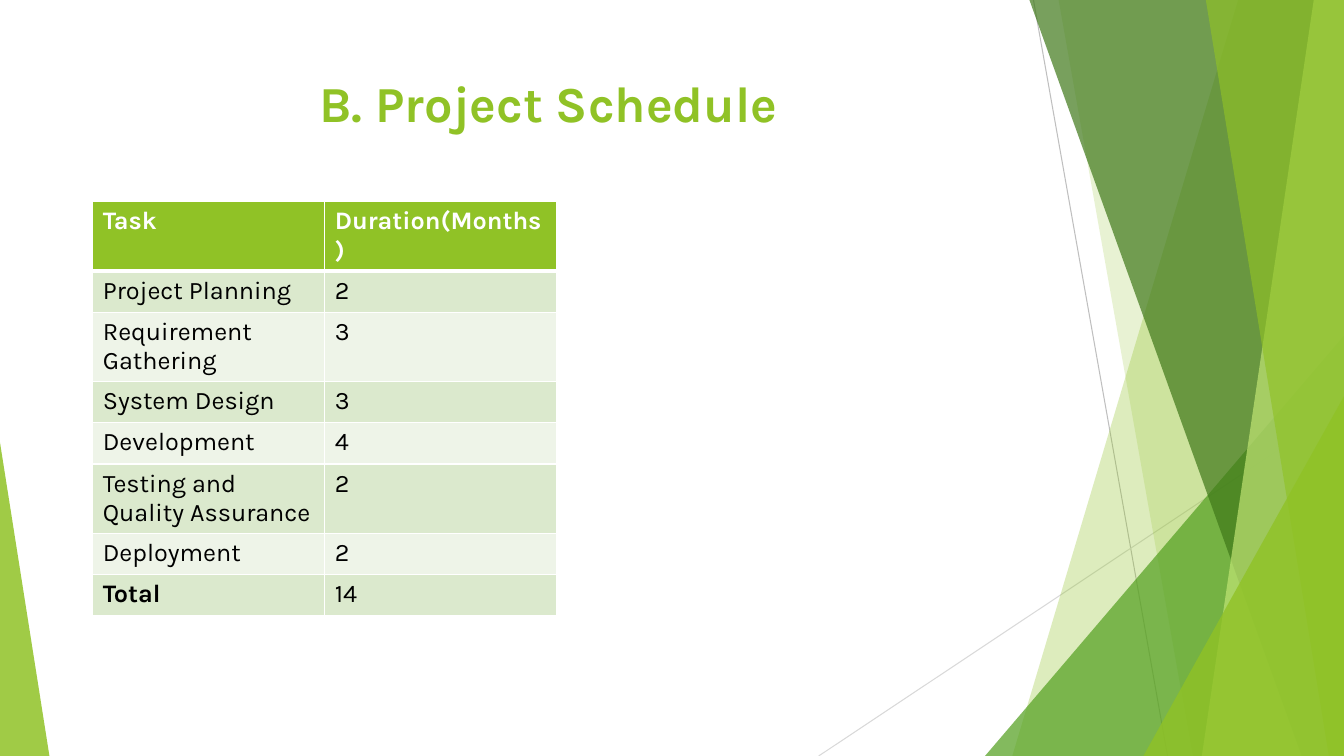
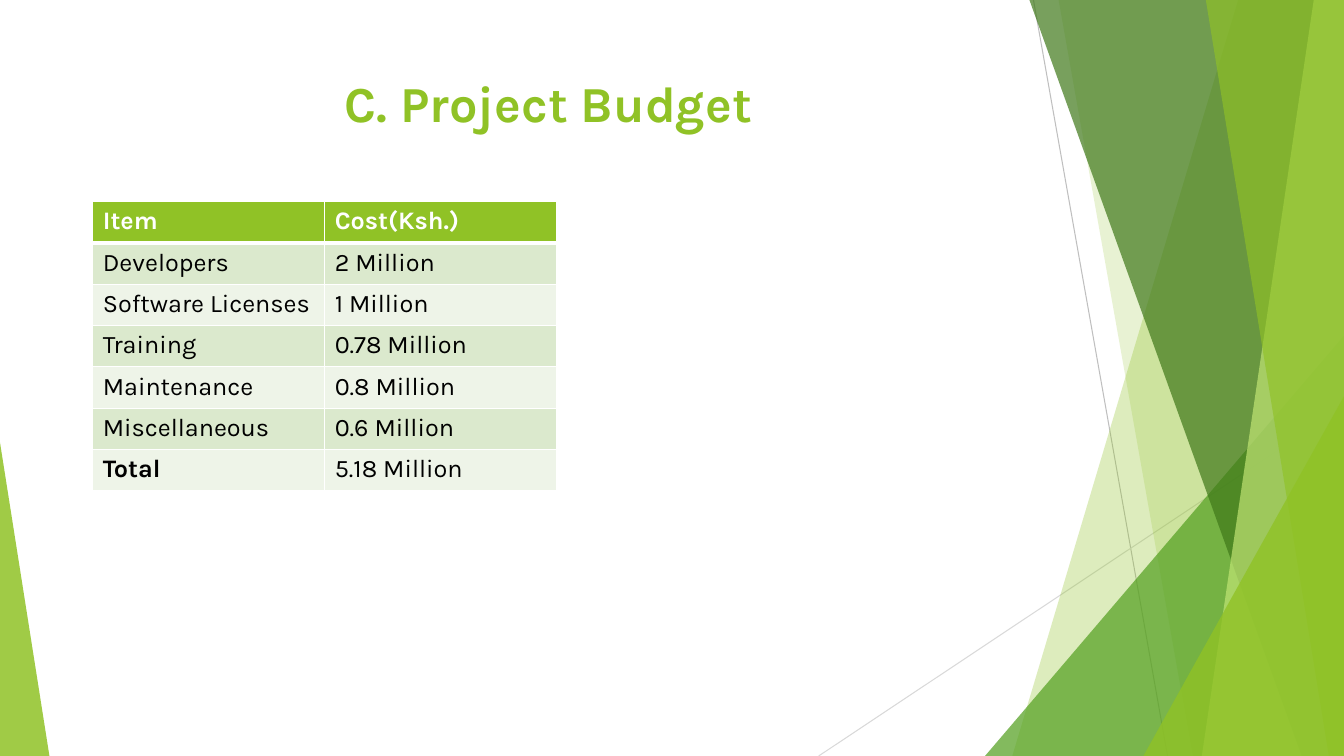
import pptx
import pptx.dml.color
import pptx.enum.shapes
import pptx.enum.text
import pptx.oxml
import pptx.oxml.ns
import pptx.util

Inches, Pt = pptx.util.Inches, pptx.util.Pt
WIDE, HIGH = 13.33, 7.5
LIME, WHITE, BLACK = "90C226", "FFFFFF", "000000"
BANDS = ["DBE9CD", "EEF4E8"]
FONT = "Karla"


def paint(fill, color, alpha=100):
    fill.solid()
    fill.fore_color.rgb = pptx.dml.color.RGBColor.from_string(color)
    if alpha < 100:
        tone = fill.fore_color._xFill[0]
        node = pptx.oxml.parse_xml(
            f'<a:alpha {pptx.oxml.ns.nsdecls("a")} val="{alpha * 1000}"/>')
        tone.append(node)


def style(para, size, color, bold):
    for run in para.runs:
        run.font.name = FONT
        run.font.size = Pt(size)
        run.font.bold = bold
        paint(run.font.fill, color)


pages = [
    ("B. Project Schedule", [
        ("Task", "Duration(Months)"),
        ("Project Planning", "2"),
        ("Requirement Gathering", "3"),
        ("System Design", "3"),
        ("Development", "4"),
        ("Testing and Quality Assurance", "2"),
        ("Deployment", "2"),
        ("Total", "14"),
    ]),
    ("C. Project Budget", [
        ("Item", "Cost(Ksh.)"),
        ("Developers", "2 Million"),
        ("Software Licenses", "1 Million"),
        ("Training", "0.78 Million"),
        ("Maintenance", "0.8 Million"),
        ("Miscellaneous", "0.6 Million"),
        ("Total", "5.18 Million"),
    ]),
]

# Thin lines: start, end, colour
lines = [
    ((10.25, 0), (11.58, HIGH), "BFBFBF"),
    ((WIDE, 4.03), (8.12, HIGH), "D9D9D9"),
]
# Facets, back to front. A band has its left edge at top and bottom;
# a wedge has left, top, width and apex side.
facets = [
    ("band", (12.28, 10.04), LIME, 30),
    ("band", (10.5, 11.83), LIME, 20),
    ("wedge", (9.77, 3.33, 3.56, 1), "54A021", 72),
    ("band", (10.21, 12.91), "3F7819", 70),
    ("band", (13.03, 11.92), "C0E474", 70),
    ("band", (11.96, 13.18), LIME, 65),
    ("wedge", (11.34, 3.93, 1.99, 1), LIME, 80),
    ("wedge", (0, 4.39, 0.49, 0), LIME, 85),
]

deck = pptx.Presentation()
deck.slide_width, deck.slide_height = Inches(WIDE), Inches(HIGH)
layout = deck.slide_layouts[5]
slides = [deck.slides.add_slide(layout) for page in pages]

# Shared decoration, drawn once and then moved to the layout
shapes = slides[0].shapes
decor = []
for start, end, color in lines:
    line = shapes.add_connector(
        pptx.enum.shapes.MSO_CONNECTOR.STRAIGHT,
        *[Inches(v) for v in start + end])
    paint(line.line.fill, color)
    line.line.width = Pt(0.75)
    line.element.spPr.append(pptx.oxml.parse_xml(
        f'<a:effectLst {pptx.oxml.ns.nsdecls("a")}/>'))
    decor.append(line)

for kind, place, color, alpha in facets:
    if kind == "band":
        top, base = place
        pen = shapes.build_freeform(Inches(top), 0)
        pen.add_line_segments([(Inches(x), Inches(y)) for x, y in
                               [(WIDE, 0), (WIDE, HIGH), (base, HIGH)]])
        facet = pen.convert_to_shape()
    else:
        left, top, width, apex = place
        facet = shapes.add_shape(
            pptx.enum.shapes.MSO_SHAPE.ISOSCELES_TRIANGLE,
            Inches(left), Inches(top), Inches(width), Inches(HIGH - top))
        facet.adjustments[0] = apex
    paint(facet.fill, color, alpha)
    facet.line.fill.background()
    facet.shadow.inherit = False
    decor.append(facet)

for index, shape in enumerate(decor):
    layout.element.cSld.spTree.insert(2 + index, shape.element)

for slide, (name, rows) in zip(slides, pages):
    # Title
    title = slide.shapes.title
    title.left, title.top = Inches(0.74), Inches(0.67)
    title.width, title.height = Inches(9.4), Inches(1.44)
    frame = title.text_frame
    frame.text = name
    frame.vertical_anchor = pptx.enum.text.MSO_ANCHOR.TOP
    frame.paragraphs[0].alignment = pptx.enum.text.PP_ALIGN.CENTER
    style(frame.paragraphs[0], 36, LIME, True)

    # Table
    table = slide.shapes.add_table(
        len(rows), 2, Inches(0.92), Inches(2),
        Inches(4.6), Inches(0.41 * len(rows))).table
    for r, row in enumerate(rows):
        head = r == 0
        for c, text in enumerate(row):
            cell = table.cell(r, c)
            cell.text_frame.text = text
            bold = head or (c == 0 and text == "Total")
            style(cell.text_frame.paragraphs[0], 18,
                  WHITE if head else BLACK, bold)
            # White borders, thicker between the header and the body
            for side in "LRTB":
                thick = (head and side == "B") or (r == 1 and side == "T")
                cell._tc.get_or_add_tcPr().append(pptx.oxml.parse_xml(
                    f'<a:ln{side} {pptx.oxml.ns.nsdecls("a")} '
                    f'w="{Pt(3 if thick else 1)}"><a:solidFill>'
                    f'<a:srgbClr val="{WHITE}"/></a:solidFill></a:ln{side}>'))
            paint(cell.fill, LIME if head else BANDS[(r - 1) % 2])

deck.save("out.pptx")
